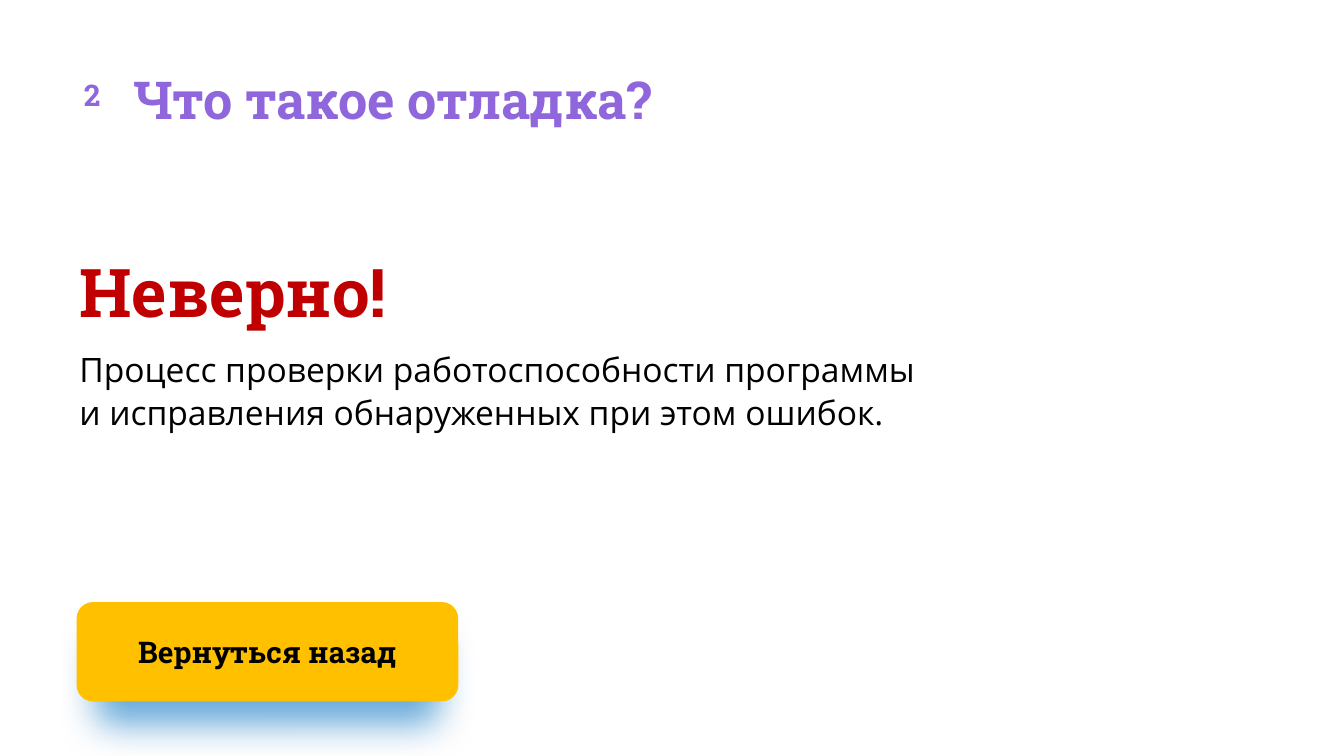
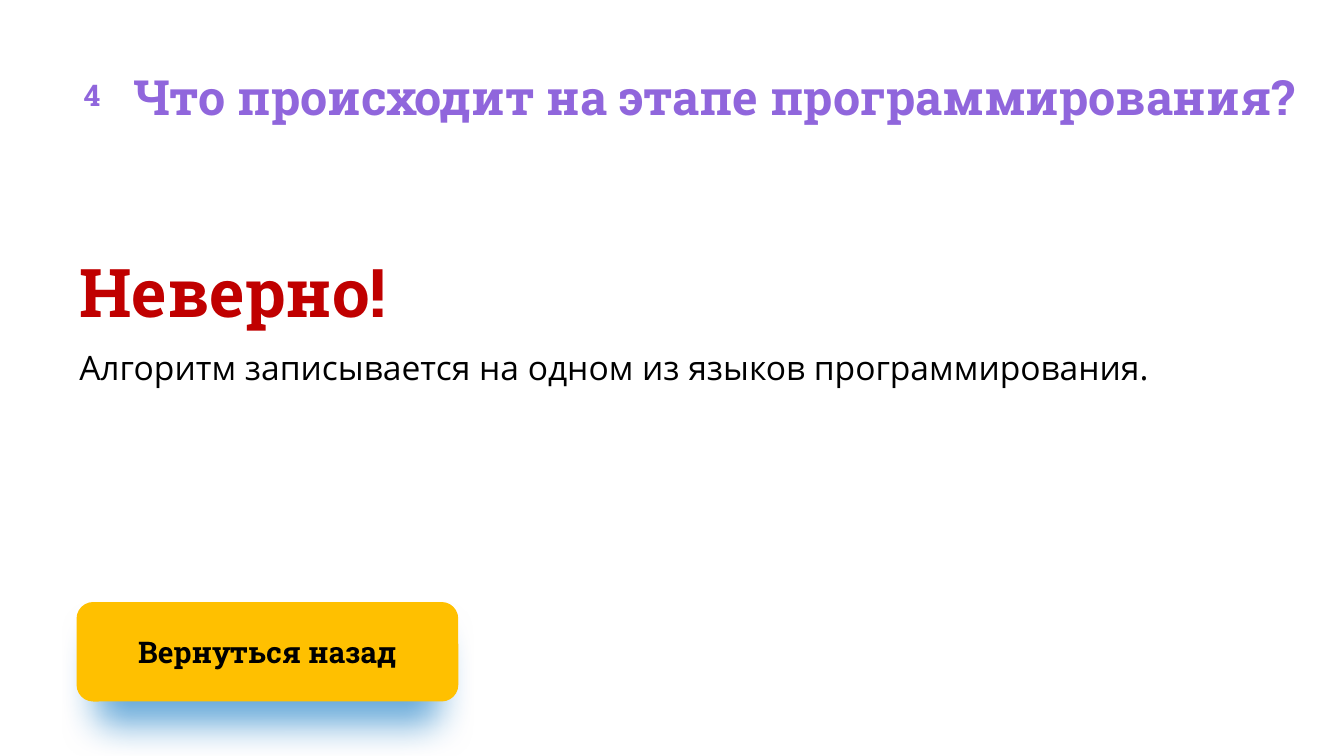
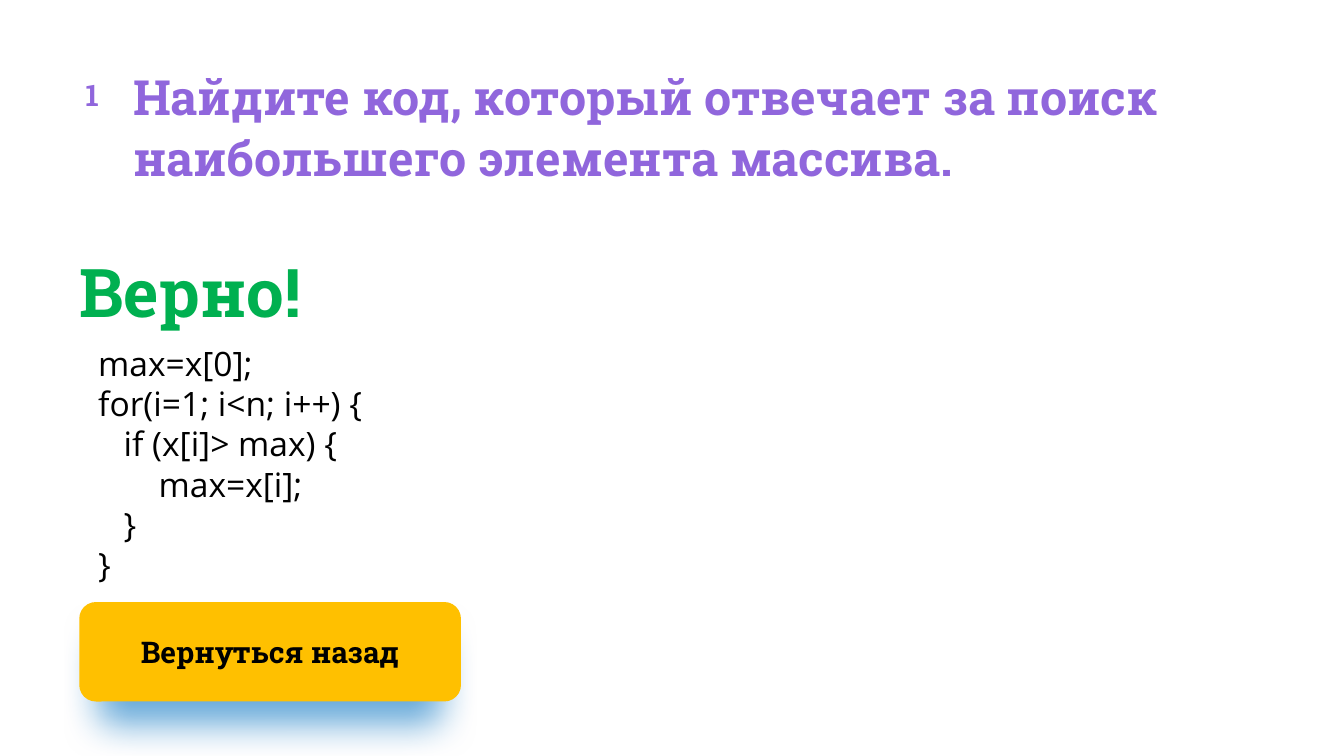
from dataclasses import dataclass
from lxml.etree import SubElement
from pptx import Presentation
from pptx.dml.color import RGBColor
from pptx.enum.shapes import MSO_SHAPE
from pptx.enum.text import MSO_ANCHOR, MSO_AUTO_SIZE, PP_ALIGN
from pptx.oxml.ns import qn
from pptx.util import Inches, Pt


@dataclass(frozen=True)
class Theme:
    heading_font: str = "Roboto Slab"
    body_font: str = "Open Sans"
    purple: str = "9066DC"
    red: str = "C00000"
    green: str = "00B050"
    amber: str = "FFC000"
    blue: str = "0070C0"
    black: str = "000000"
    verdict_size: int = 36
    title_size: int = 28
    long_title_size: int = 26
    body_size: int = 18
    label_size: int = 16


theme = Theme()


def write(shape, lines, font, size, color, bold=True, spacing=None,
          align=PP_ALIGN.LEFT, anchor=MSO_ANCHOR.TOP, margins=(0, 0, 0, 0),
          fit=MSO_AUTO_SIZE.SHAPE_TO_FIT_TEXT):
    left, top, right, bottom = (Inches(margin) for margin in margins)
    frame_format = {
        "word_wrap": True, "auto_size": fit, "vertical_anchor": anchor,
        "margin_left": left, "margin_top": top,
        "margin_right": right, "margin_bottom": bottom,
    }
    for name, value in frame_format.items():
        setattr(shape.text_frame, name, value)
    for index, (text, indent) in enumerate(lines):
        para = shape.text_frame.paragraphs[0] if index == 0 else shape.text_frame.add_paragraph()
        for name, value in {"alignment": align, "line_spacing": spacing}.items():
            setattr(para, name, value)
        if indent:
            para._p.get_or_add_pPr().set("marL", str(Inches(indent)))
        span = para.add_run()
        span.text = text
        for name, value in {"name": font, "size": Pt(size), "bold": bold}.items():
            setattr(span.font, name, value)
        span.font.color.rgb = RGBColor.from_string(color)


def add_rounded(page, left, top, width, height):
    shape = page.shapes.add_shape(MSO_SHAPE.ROUNDED_RECTANGLE, Inches(left), Inches(top),
                                  Inches(width), Inches(height))
    shape.shadow.inherit = False
    shape.fill.background()
    shape.line.fill.background()
    return shape


wrong = ("Неверно!", theme.red)
right = ("Верно!", theme.green)
answers = [
    {
        "number": "2", "title": "Что такое отладка?", "verdict": wrong,
        "title_size": theme.title_size, "title_area": (8.61, 0.47),
        "body": [("Процесс проверки работоспособности программы и исправления "
                  "обнаруженных при этом ошибок.", 0)],
        "body_area": (2.58, 6.38, 0.63), "body_spacing": 1.06,
        "body_margin": 0, "button_left": 0.57,
    },
    {
        "number": "4", "title": "Что происходит на этапе программирования?", "verdict": wrong,
        "title_size": theme.long_title_size, "title_area": (9.01, 0.44),
        "body": [("Алгоритм записывается на одном из языков программирования.", 0)],
        "body_area": (2.58, 8.87, 0.3), "body_spacing": None,
        "body_margin": 0, "button_left": 0.57,
    },
    {
        "number": "1", "verdict": right,
        "title": "Найдите код, который отвечает за поиск наибольшего элемента массива.",
        "title_size": theme.long_title_size, "title_area": (8.87, 0.9),
        "body": [("max=x[0];", 0), ("for(i=1; i<n; i++) {", 0), ("if (x[i]> max) {", 0.19),
                 ("max=x[i];", 0.45), ("}", 0.19), ("}", 0)],
        "body_area": (2.55, 5.15, 1.82), "body_spacing": None,
        "body_margin": 0.14, "button_left": 0.59,
    },
]

deck = Presentation()
deck.slide_width = Inches(10)
deck.slide_height = deck.slide_width * 9 // 16

for answer in answers:
    page = deck.slides.add_slide(deck.slide_layouts[6])

    button = add_rounded(page, answer["button_left"], 4.48, 2.84, 0.74)
    button.fill.solid()
    button.fill.fore_color.rgb = RGBColor.from_string(theme.amber)
    effects = button._element.spPr.find(qn("a:effectLst"))
    shadow = SubElement(effects, qn("a:outerShdw"), blurRad=str(Pt(20)), dist=str(Pt(15)),
                        dir="5400000", sx="90000", sy="90000", algn="ctr", rotWithShape="0")
    tint = SubElement(shadow, qn("a:srgbClr"), val=theme.blue)
    SubElement(tint, qn("a:alpha"), val="60000")
    write(button, [("Вернуться назад", 0)], theme.heading_font, theme.label_size, theme.black,
          align=PP_ALIGN.CENTER, anchor=MSO_ANCHOR.MIDDLE, margins=(0.39, 0.2, 0.39, 0.2))

    width, height = answer["title_area"]
    title = page.shapes.add_textbox(Inches(0.99), Inches(0.47), Inches(width), Inches(height))
    write(title, [(answer["title"], 0)], theme.heading_font, answer["title_size"],
          theme.purple, spacing=1.06)

    badge = add_rounded(page, 0.39, 0.41, 0.59, 0.59)
    write(badge, [(answer["number"], 0)], theme.heading_font, theme.label_size, theme.purple,
          align=PP_ALIGN.CENTER, anchor=MSO_ANCHOR.MIDDLE, fit=MSO_AUTO_SIZE.NONE)

    top, width, height = answer["body_area"]
    body = page.shapes.add_textbox(Inches(0.59), Inches(top), Inches(width), Inches(height))
    write(body, answer["body"], theme.body_font, theme.body_size, theme.black, bold=False,
          spacing=answer["body_spacing"], margins=(answer["body_margin"], 0, 0, 0))

    word, color = answer["verdict"]
    verdict = page.shapes.add_textbox(Inches(0.59), Inches(1.83), Inches(2.8), Inches(0.61))
    write(verdict, [(word, 0)], theme.heading_font, theme.verdict_size, color, spacing=1.06)

deck.save("out.pptx")
